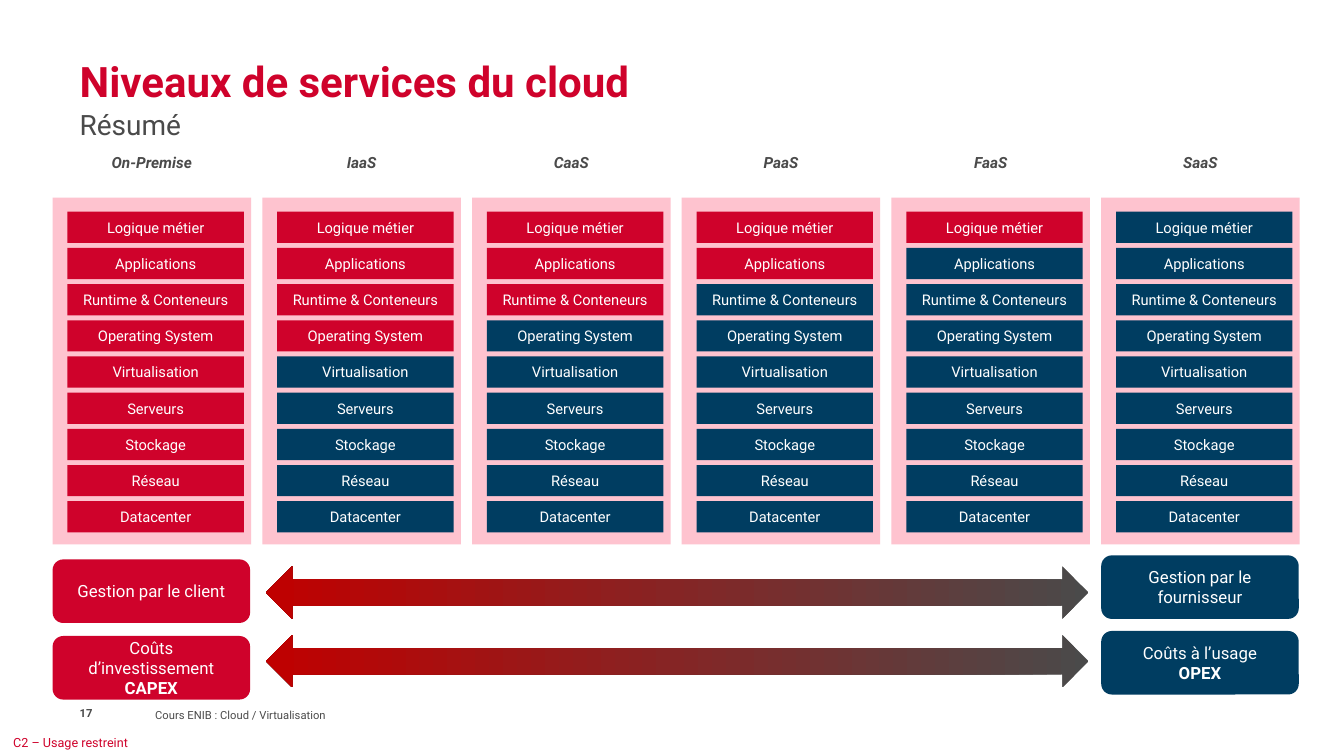
from pptx import Presentation
from pptx.dml.color import RGBColor
from pptx.enum.shapes import MSO_SHAPE as Preset
from pptx.enum.text import MSO_ANCHOR as Anchor, PP_ALIGN as Align
from pptx.util import Pt

RED, BLUE, PINK, GREY, WHITE = "CF022B", "003D61", "FEC3CF", "4A4A4A", "FFFFFF"
DARK_RED = "C00000"


def color(value):
    return RGBColor.from_string(value)


class SlideBuilder:
    font_name = "Roboto"

    def __init__(self, slide):
        self.slide = slide

    def add_lines(self, shape, lines, size, text_color, align=Align.LEFT,
                  anchor=Anchor.MIDDLE, inset=None, **font_format):
        """Each line is a text, or a pair of a text and its own font format."""
        frame = shape.text_frame
        frame.word_wrap = True
        frame.vertical_anchor = anchor
        if inset is not None:
            for side in ("left", "right", "top", "bottom"):
                setattr(frame, f"margin_{side}", Pt(inset))
        for index, line in enumerate(lines):
            text, extra = line if isinstance(line, tuple) else (line, {})
            paragraph = frame.add_paragraph() if index else frame.paragraphs[0]
            paragraph.alignment = align
            run = paragraph.add_run()
            run.text = text
            run.font.color.rgb = color(text_color)
            values = {"name": self.font_name, "size": Pt(size), **font_format, **extra}
            for name, value in values.items():
                setattr(run.font, name, value)

    def label(self, box, text, size, text_color, **text_format):
        shape = self.slide.shapes.add_textbox(*map(Pt, box))
        self.add_lines(shape, [text], size, text_color, **text_format)

    def block(self, box, fill, lines=(), size=10.5, preset=Preset.RECTANGLE):
        shape = self.slide.shapes.add_shape(preset, *map(Pt, box))
        shape.shadow.inherit = False
        shape.line.fill.background()
        shape.fill.solid()
        shape.fill.fore_color.rgb = color(fill)
        self.add_lines(shape, lines, size, WHITE, align=Align.CENTER)
        return shape

    def gradient_arrow(self, box, start, end):
        arrow = self.block(box, start, preset=Preset.LEFT_RIGHT_ARROW)
        arrow.fill.gradient()
        arrow.fill.gradient_angle = 180
        for stop, position, value in zip(arrow.fill.gradient_stops, (0, 1), (start, end)):
            stop.position = position
            stop.color.rgb = color(value)


def main():
    presentation = Presentation()
    presentation.slide_width, presentation.slide_height = Pt(960), Pt(540)
    builder = SlideBuilder(presentation.slides.add_slide(presentation.slide_layouts[6]))

    # Title and subtitle
    builder.label((56.9, 2.2, 846.7, 73.4), "Niveaux de services du cloud", 30, RED,
                  anchor=Anchor.BOTTOM, inset=0, bold=True)
    builder.label((56.9, 77, 846.7, 28.1), "Résumé", 20, GREY, anchor=Anchor.TOP, inset=0)

    # Service models, with the number of layers managed by the client
    models = {"On-Premise": 9, "IaaS": 4, "CaaS": 3, "PaaS": 2, "FaaS": 1, "SaaS": 0}
    layers = ["Logique métier", "Applications", "Runtime & Conteneurs",
              "Operating System", "Virtualisation", "Serveurs", "Stockage",
              "Réseau", "Datacenter"]
    column_left, column_step = 37.6, 149.8
    layer_top, layer_step = 151.2, 25.85
    for column, (model, client_layers) in enumerate(models.items()):
        left = column_left + column * column_step
        builder.label((left - 1.8, 105.8, 145.4, 22.3), model, 11, GREY,
                      align=Align.CENTER, anchor=Anchor.TOP, bold=True, italic=True)
        builder.block((left, 141.2, 141.8, 247.7), PINK)
        for row, layer in enumerate(layers):
            builder.block((left + 10.6, layer_top + row * layer_step, 126, 22.3),
                          RED if row < client_layers else BLUE, [layer])

    # Management and cost scales
    strong = {"bold": True}
    right = column_left + 5 * column_step
    scales = [
        (404.6, 399.6, 396.7, ["Gestion par le client"], ["Gestion par le fournisseur"]),
        (453.6, 454.3, 450.7, ["Coûts d’investissement", ("CAPEX", strong)],
         ["Coûts à l’usage", ("OPEX", strong)]),
    ]
    for arrow_top, client_top, provider_top, client, provider in scales:
        builder.gradient_arrow((190.1, arrow_top, 587.5, 37.4), GREY, DARK_RED)
        for left, top, fill, lines in ((column_left, client_top, RED, client),
                                       (right, provider_top, BLUE, provider)):
            builder.block((left, top, 141.1, 45.4), fill, lines, 12,
                          Preset.ROUNDED_RECTANGLE)

    # Footer
    builder.label((56.9, 499, 28.1, 20.2), "17", 8, GREY, inset=0, bold=True)
    builder.label((110.9, 500.4, 283.7, 20.2), "Cours ENIB : Cloud / Virtualisation",
                  8, GREY, inset=0)
    builder.label((9.4, 520.6, 93.6, 19.4), "C2 – Usage restreint", 9, RED, inset=0)

    presentation.save("out.pptx")


if __name__ == "__main__":
    main()
